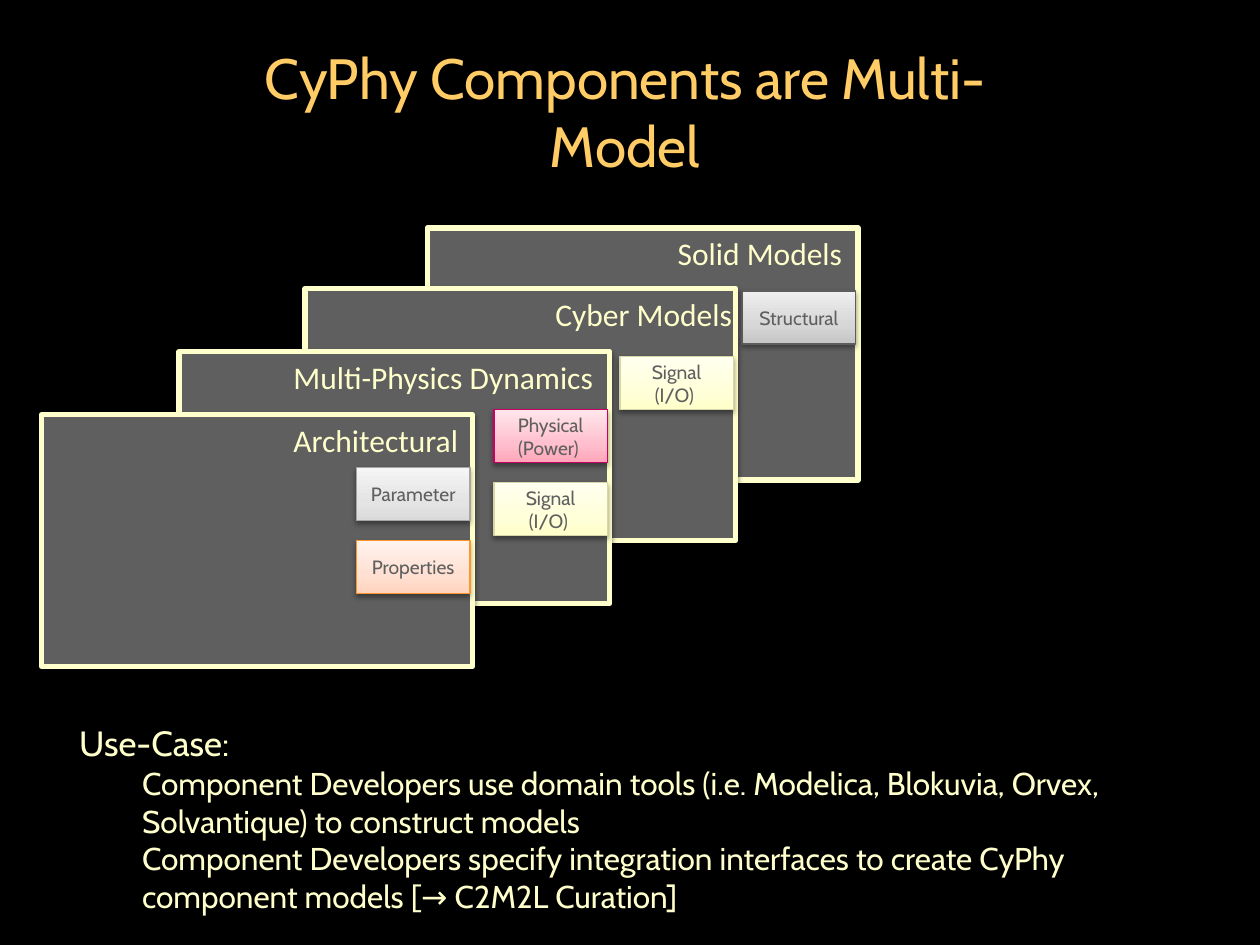
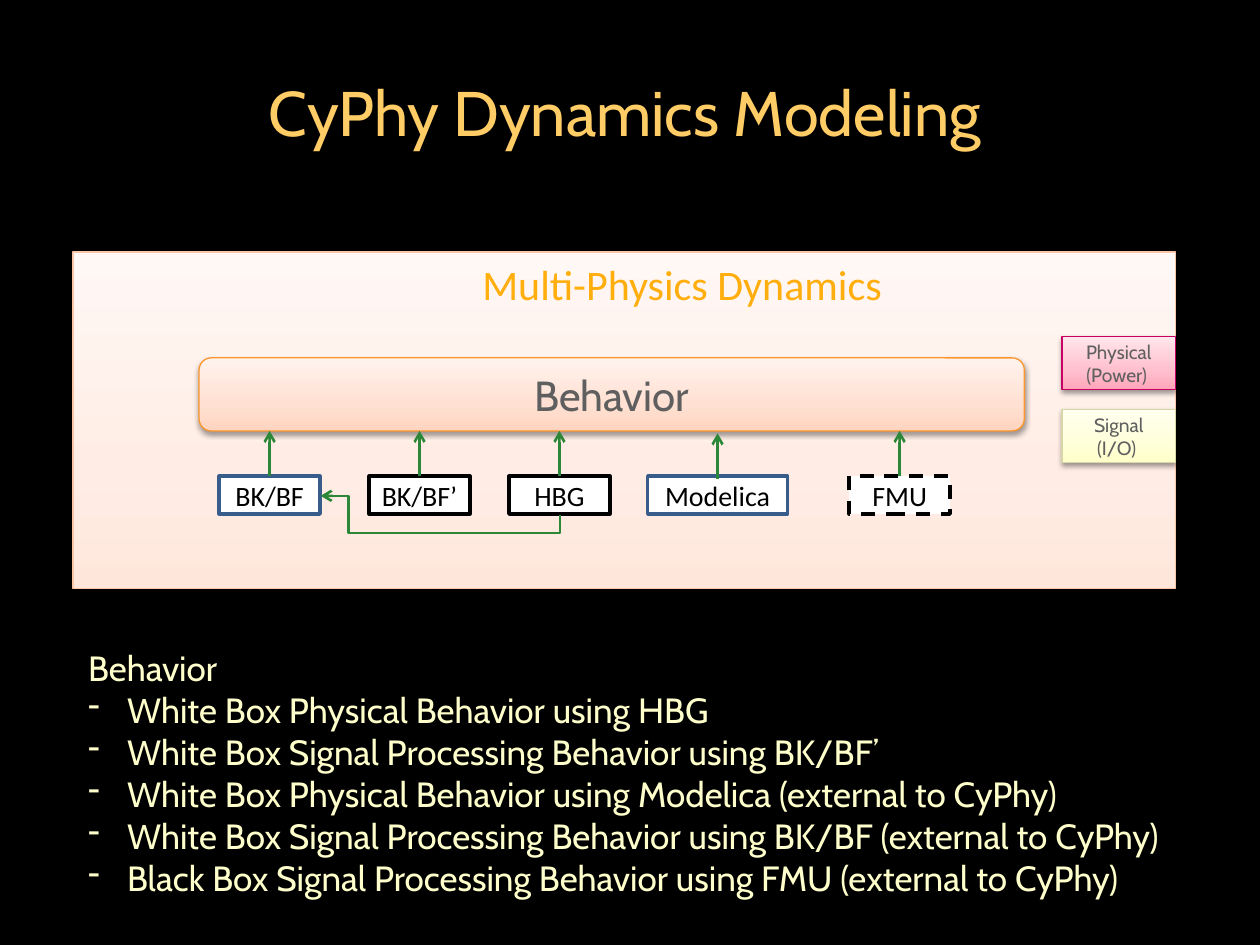
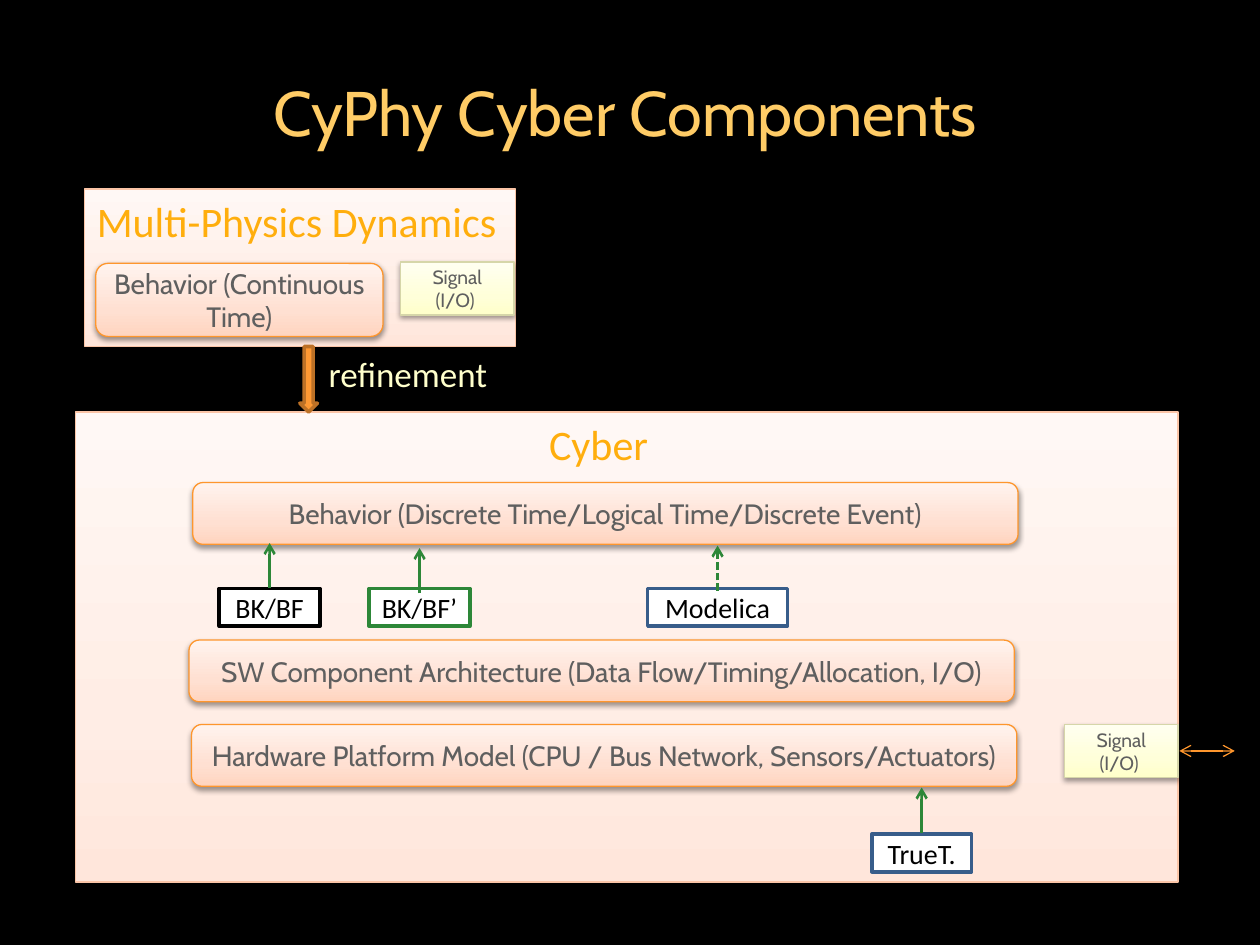
"""Build three slides on component models in CyPhy."""
import copy
import lxml.etree
import pptx
import pptx.dml.color
import pptx.enum.dml
import pptx.enum.shapes
import pptx.enum.text
import pptx.oxml.ns
import pptx.util

WIDE, HIGH = 10, 7.5
CREAM, GOLD, AMBER = "FFFFCC", "FFCC66", "FFAE0D"
SLATE, BLACK, WHITE = "5F5F5F", "000000", "FFFFFF"
GREEN, BLUE, ORANGE = "2D8738", "385D8A", "FE962D"
HEAD, BODY = "Cabin", "Calibri"

LOOKS = {
    "steel": (["C5C5C5", "D6D6D6", "EFEFEF"], "5D5D5D"),
    "grey": (["DADADA", "E4E4E4", "F5F5F5"], "A6A6A6"),
    "pink": (["FFA5B9", "FFBFCD", "FFE7EC"], "C80064"),
    "yellow": (["FFFFCA", "FFFFD9", "FFFFF0"], "D6D6A9"),
    "peach": (["FFD4BF", "FFE0D2", "FFF3EE"], ORANGE),
    "pale": (["FFE6DB", "FFEDE5", "FFF8F5"], "FBC5A7"),
}
PORTS = {
    "Structural": (["Structural"], "steel"),
    "Physical": (["Physical", "(Power) "], "pink"),
    "Signal": (["Signal", "(I/O) "], "yellow"),
    "Parameter": (["Parameter"], "grey"),
    "Properties": (["Properties"], "peach"),
}
PORT, STEP = (0.9, 0.42), 0.58
LAYER, INSET = (3.42, 2), 2.5
LAYERS = [
    ("Solid Models", 3.39, 1.81, 1.89, 1.52, 0.5, ["Structural"]),
    ("Cyber Models", 2.42, 2.29, 1.89, 1.62, 0.54, ["Signal"]),
    ("Multi-Physics Dynamics", 1.42, 2.79, 0.81, 2.61, 0.46, ["Physical", "Signal"]),
    ("Architectural", 0.33, 3.29, 1.9, 1.52, 0.42, ["Parameter", "Properties"]),
]
CASES = [
    "Component Developers use domain tools (i.e. Modelica, Blokuvia, Orvex, "
    "Solvantique) to construct models",
    "Component Developers specify integration interfaces to create CyPhy "
    "component models [→ C2M2L Curation]",
]
KINDS = [
    "White Box Physical Behavior using HBG",
    "White Box Signal Processing Behavior using BK/BF’",
    "White Box Physical Behavior using Modelica (external to CyPhy)",
    "White Box Signal Processing Behavior using BK/BF (external to CyPhy)",
    "Black Box Signal Processing Behavior using FMU (external to CyPhy)",
]
COLS = {"BK/BF": (1.74, 0.8), "BK/BF’": (2.93, 0.8), "HBG": (4.04, 0.8),
        "Modelica": (5.14, 1.11), "FMU": (6.74, 0.8), "TrueT.": (6.92, 0.79)}
RISE = 0.36
TOOLS = [("BK/BF", BLUE, 0, False), ("BK/BF’", BLACK, 0, False),
         ("HBG", BLACK, 0, False), ("Modelica", BLUE, 0.02, False),
         ("FMU", BLACK, 0, True)]
CYBER = [("BK/BF", BLACK, 0, False), ("BK/BF’", GREEN, 0.04, False),
         ("Modelica", BLUE, 0.02, False)]
BARS = [
    ("Behavior (Discrete Time/Logical Time/Discrete Event)", 1.53, 3.83),
    ("SW Component Architecture (Data Flow/Timing/Allocation, I/O)", 1.5, 5.08),
    ("Hardware Platform Model (CPU / Bus Network, Sensors/Actuators)", 1.52, 5.75),
]
FORM = pptx.enum.shapes.MSO_SHAPE
DASH = pptx.enum.dml.MSO_LINE
ALIGN = pptx.enum.text.PP_ALIGN
MID = pptx.enum.text.MSO_ANCHOR.MIDDLE
qn = pptx.oxml.ns.qn


def rgb(code):
    return pptx.dml.color.RGBColor.from_string(code)


def inch(*nums):
    return [pptx.util.Inches(n) for n in nums]


def node(base, tag, **attrs):
    return lxml.etree.SubElement(base, qn(tag), attrs)


def write(frame, lines, size, tone, face, align=None):
    for i, line in enumerate(lines):
        para = frame.paragraphs[0] if i == 0 else frame.add_paragraph()
        para.alignment = align
        run = para.add_run()
        run.text = line
        run.font.size = pptx.util.Pt(size)
        run.font.name = face
        run.font.color.rgb = rgb(tone)


def indent(paras, left, mark=None):
    for para in paras:
        props = para._p.get_or_add_pPr()
        left_emu = inch(left)[0]
        props.set("marL", str(left_emu))
        props.set("indent", str(-left_emu if mark else 0))
        if mark:
            node(props, "a:buChar", char=mark)


def note(slide, lines, box, size, tone=CREAM, face=BODY, wrap=False):
    frame = slide.shapes.add_textbox(*inch(*box)).text_frame
    frame.word_wrap = wrap
    frame.auto_size = pptx.enum.text.MSO_AUTO_SIZE.SHAPE_TO_FIT_TEXT
    write(frame, lines, size, tone, face)
    return frame


def shape(slide, form, box, fill, edge, width, shade=False):
    item = slide.shapes.add_shape(form, *inch(*box))
    if isinstance(fill, str):
        item.fill.solid()
        item.fill.fore_color.rgb = rgb(fill)
    else:
        item.fill.gradient()
        item.fill.gradient_angle = 90
        stops = item._element.spPr.find(".//" + qn("a:gsLst"))
        stops.insert(1, copy.deepcopy(stops[0]))
        for stop, tone, spot in zip(item.fill.gradient_stops, fill, (0, 0.35, 1)):
            stop.color.rgb = rgb(tone)
            stop.position = spot
    item.line.color.rgb = rgb(edge)
    item.line.width = pptx.util.Pt(width)
    item.shadow.inherit = False
    if shade:
        glow = node(item._element.spPr.find(qn("a:effectLst")), "a:outerShdw",
                    blurRad="39400", dist="20300", dir="5400000", rotWithShape="0")
        node(node(glow, "a:srgbClr", val=BLACK), "a:alpha", val="38000")
    item.text_frame.vertical_anchor = MID
    return item


def block(slide, form, box, look, lines=(), size=16):
    item = shape(slide, form, box, *LOOKS[look], 0.75, True)
    write(item.text_frame, lines, size, SLATE, HEAD, ALIGN.CENTER)


def port(slide, name, x, y):
    lines, look = PORTS[name]
    block(slide, FORM.FLOWCHART_PROCESS, (x, y, *PORT), look, lines, 11)


def bar(slide, text, box, size=16):
    block(slide, FORM.ROUNDED_RECTANGLE, box, "peach", [text], size)


def link(slide, start, end, tone=GREEN, width=1.5, both=False, bent=False):
    kind = pptx.enum.shapes.MSO_CONNECTOR
    item = slide.shapes.add_connector(kind.ELBOW if bent else kind.STRAIGHT,
                                      *inch(*start, *end))
    item.line.color.rgb = rgb(tone)
    item.line.width = pptx.util.Pt(width)
    props = item._element.spPr
    edge = props.find(qn("a:ln"))
    if both:
        node(edge, "a:headEnd", type="arrow")
    node(edge, "a:tailEnd", type="arrow")
    node(props, "a:effectLst")
    return item


def tool(slide, name, top, edge, drop, dash=False):
    x, w = COLS[name]
    item = shape(slide, FORM.RECTANGLE, (x, top, w, 0.3), WHITE, edge, 2)
    if dash:
        item.line.dash_style = DASH.DASH
    write(item.text_frame, [name], 16, BLACK, BODY, ALIGN.CENTER)
    mid, base = x + w / 2, top + drop
    return link(slide, (mid, base), (mid, base - RISE))


def loop(slide):
    item = link(slide, (3.42, 3.06), (3.57, 4.96), bent=True)
    props = item._element.spPr
    turn = props.find(qn("a:xfrm"))
    turn.set("rot", "5400000")
    turn.set("flipH", "1")
    geom = props.find(qn("a:prstGeom"))
    geom.set("prst", "bentConnector4")
    guides = geom.find(qn("a:avLst"))
    for name, share in (("adj1", -96700), ("adj2", 88400)):
        node(guides, "a:gd", name=name, fmla=f"val {share}")


def start(deck, text, size=36):
    slide = deck.slides.add_slide(deck.slide_layouts[5])
    title = slide.shapes.title
    title.left, title.top, title.width, title.height = inch(1.5, 0.42, 6.92, 0.92)
    frame = title.text_frame
    frame.word_wrap = True
    frame.auto_size = pptx.enum.text.MSO_AUTO_SIZE.NONE
    frame.vertical_anchor = MID
    write(frame, [text], size, GOLD, HEAD, ALIGN.CENTER)
    return slide


def models(deck):
    slide = start(deck, "CyPhy Components are Multi-Model", 32.4)
    for name, x, y, shift, w, drop, ports in LAYERS:
        shape(slide, FORM.RECTANGLE, (x, y, *LAYER), SLATE, CREAM, 3, True)
        note(slide, [name], (x + shift, y, w, 0.4), 18)
        for i, kind in enumerate(ports):
            port(slide, kind, x + INSET, y + drop + i * STEP)
    frame = note(slide, ["Use-Case:"] + CASES, (0.53, 5.68, 9.06, 1.65), 18,
                 face=HEAD, wrap=True)
    frame.paragraphs[0].runs[0].font.size = pptx.util.Pt(20)
    indent(frame.paragraphs[1:], 0.5)


def physics(deck):
    slide = start(deck, "CyPhy Dynamics Modeling")
    block(slide, FORM.RECTANGLE, (0.58, 2, 8.75, 2.67), "pale")
    note(slide, ["Multi-Physics Dynamics"], (3.73, 2, 3.4, 0.5), 24, AMBER)
    for i, kind in enumerate(["Physical", "Signal"]):
        port(slide, kind, 8.43, 2.67 + i * STEP)
    bar(slide, "Behavior", (1.58, 2.84, 6.55, 0.58), 24)
    frame = note(slide, ["Behavior"] + KINDS, (0.6, 5.08, 9.18, 2.12), 20, face=HEAD)
    indent(frame.paragraphs[1:], 0.31, "-")
    for name, edge, drop, dash in TOOLS:
        tool(slide, name, 3.78, edge, drop, dash)
    loop(slide)


def cyber(deck):
    slide = start(deck, "CyPhy Cyber Components")
    block(slide, FORM.RECTANGLE, (0.6, 3.27, 8.75, 3.73), "pale")
    note(slide, ["Cyber"], (4.26, 3.27, 1, 0.5), 24, AMBER)
    port(slide, "Signal", 8.45, 5.75)
    block(slide, FORM.RECTANGLE, (0.67, 1.5, 3.42, 1.25), "pale")
    note(slide, ["Multi-Physics Dynamics"], (0.67, 1.5, 3.4, 0.5), 24, AMBER)
    port(slide, "Signal", 3.18, 2.08)
    shape(slide, FORM.DOWN_ARROW, (2.38, 2.75, 0.14, 0.52), "FF9933", "BD7126", 2)
    note(slide, ["refinement"], (2.51, 2.75, 1.48, 0.44), 20)
    bar(slide, "Behavior (Continuous Time)", (0.76, 2.09, 2.28, 0.58))
    link(slide, (9.36, 5.96), (9.8, 5.96), ORANGE, 0.75, both=True)
    for text, x, y in BARS:
        bar(slide, text, (x, y, 6.55, 0.49))
    for name, edge, drop, dash in CYBER:
        arrow = tool(slide, name, 4.67, edge, drop, dash)
    arrow.line.dash_style = DASH.SQUARE_DOT
    tool(slide, "TrueT.", 6.62, BLUE, -0.01)


def main():
    deck = pptx.Presentation()
    deck.slide_width, deck.slide_height = inch(WIDE, HIGH)
    back = deck.slide_master.background.fill
    back.solid()
    back.fore_color.rgb = rgb(BLACK)
    for build in (models, physics, cyber):
        build(deck)
    deck.save("out.pptx")


if __name__ == "__main__":
    main()
